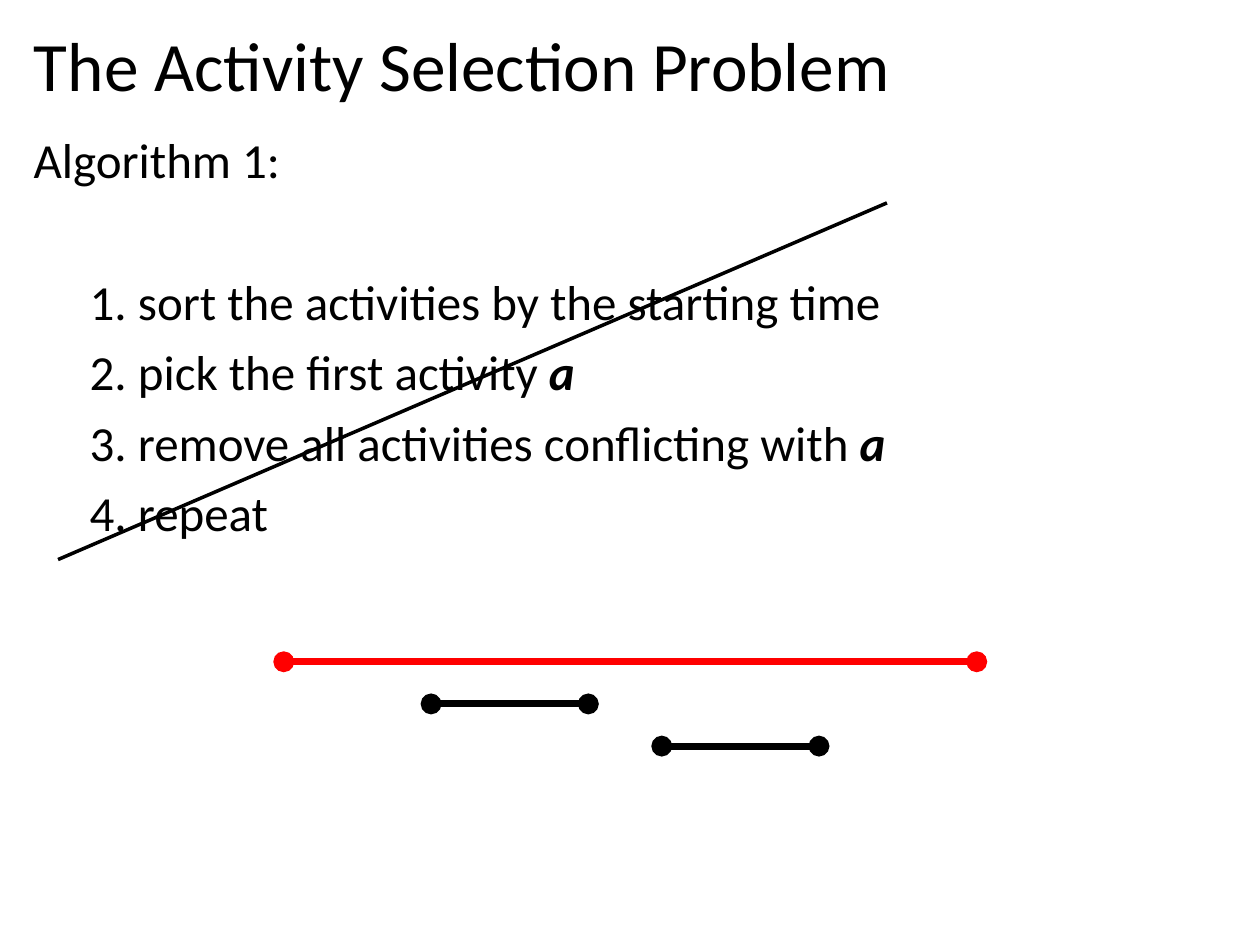
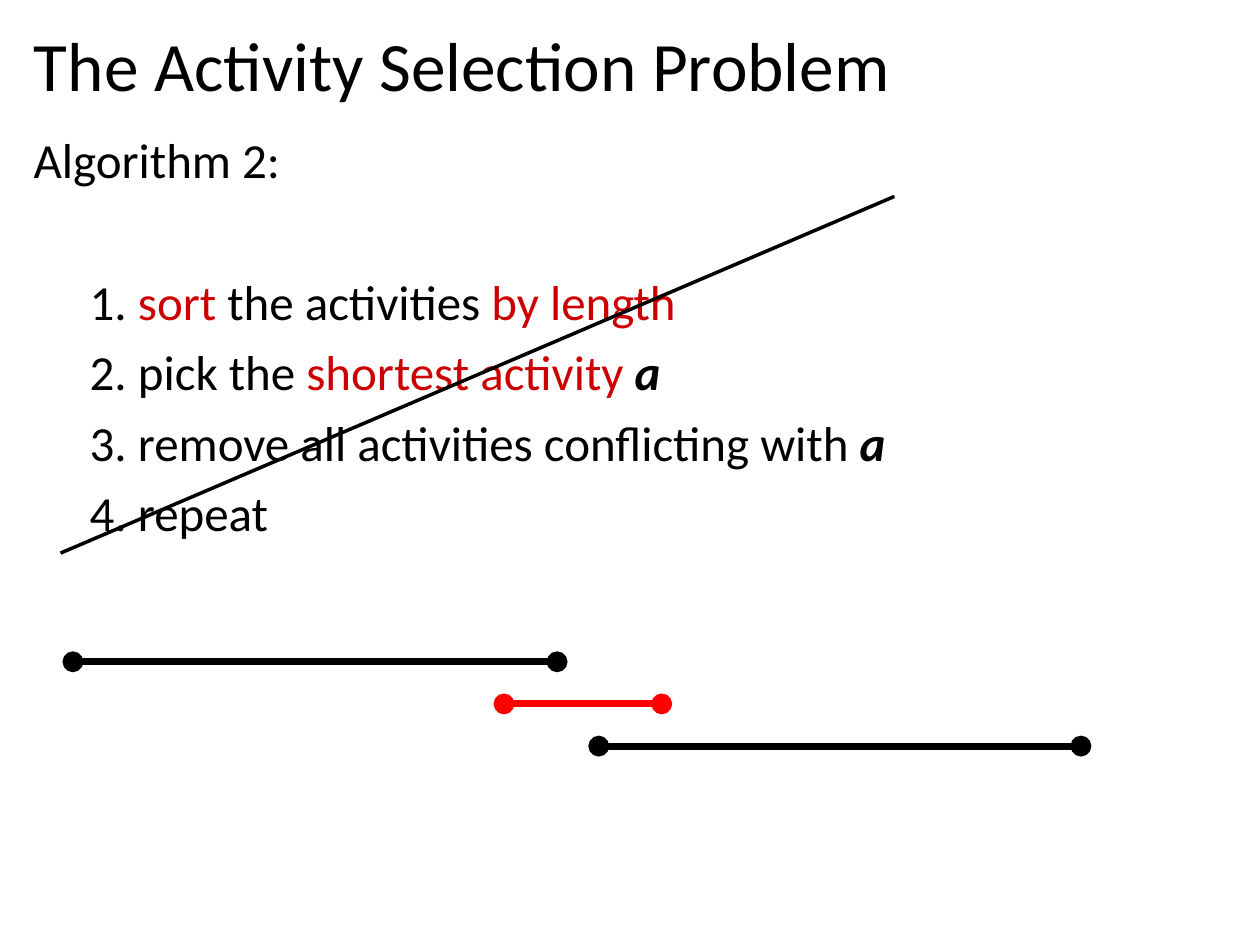
from dataclasses import dataclass

from lxml.etree import SubElement
from pptx import Presentation
from pptx.dml.color import RGBColor
from pptx.enum.shapes import MSO_CONNECTOR
from pptx.enum.text import MSO_ANCHOR, MSO_AUTO_SIZE, PP_ALIGN
from pptx.oxml.ns import qn
from pptx.util import Cm, Pt


@dataclass(frozen=True)
class Theme:
    font: str = "Calibri"
    black: RGBColor = RGBColor(0, 0, 0)
    picked: RGBColor = RGBColor(0xFF, 0, 0)
    emphasis: RGBColor = RGBColor(0xCC, 0, 0)
    title_size: float = 39.6
    body_size: float = 28
    line_spacing: float = 0.9
    space_before: float = 10
    list_gap: float = 50.75
    interval_width: float = 4
    strike_width: float = 2


theme = Theme()


def add_text(paragraph, text, size=theme.body_size, color=theme.black, bold=False, italic=False,
             space_before=theme.space_before, indent=0):
    paragraph.alignment = PP_ALIGN.LEFT
    paragraph.line_spacing = theme.line_spacing
    paragraph.space_before = Pt(space_before)
    paragraph._p.get_or_add_pPr().set("marL", str(Cm(indent)))
    run = paragraph.add_run()
    run.text = text
    run.font.name = theme.font
    run.font.size = Pt(size)
    run.font.color.rgb = color
    run.font.bold = bold
    run.font.italic = italic


def add_line(slide, start, end, color=theme.black, width=theme.strike_width, dots=False):
    connector = slide.shapes.add_connector(
        MSO_CONNECTOR.STRAIGHT, *[Cm(length) for length in (*start, *end)])
    connector.line.color.rgb = color
    connector.line.width = Pt(width)
    properties = connector._element.spPr
    if dots:
        for line_end in ("a:headEnd", "a:tailEnd"):
            SubElement(properties.find(qn("a:ln")), qn(line_end), type="oval")
    SubElement(properties, qn("a:effectLst"))


text_left, text_width = 0.43, 24.43
step_indent = 1.13
first_interval_top, interval_pitch = 13.34, 0.85

emphasis = {"color": theme.emphasis}
variable = {"bold": True, "italic": True}
closing_steps = [
    [("3. remove all activities conflicting with ", {}), ("a", variable)],
    [("4. repeat", {})],
]

algorithms = [
    {
        "heading": "Algorithm 1:",
        "steps": [
            [("1. sort the activities by the starting time", {})],
            [("2. pick the first activity ", {}), ("a", variable)],
        ],
        "intervals": [(5.72, 19.69), (8.69, 11.86), (13.34, 16.51)],
        "picked": 0,
        "strike": [(1.17, 11.28), (17.88, 4.09)],
    },
    {
        "heading": "Algorithm 2:",
        "steps": [
            [("1. ", {}), ("sort", emphasis), (" the activities ", {}), ("by length", emphasis)],
            [("2. pick the ", {}), ("shortest activity ", emphasis), ("a", variable)],
        ],
        "intervals": [(1.47, 11.23), (10.16, 13.34), (12.07, 21.79)],
        "picked": 1,
        "strike": [(1.22, 11.15), (18.03, 3.96)],
    },
]

presentation = Presentation()
presentation.slide_width = Cm(25.4)
presentation.slide_height = Cm(19.05)
title_only = presentation.slide_layouts[5]

for algorithm in algorithms:
    slide = presentation.slides.add_slide(title_only)

    title = slide.shapes.title
    title.left, title.top = Cm(text_left), Cm(0.46)
    title.width, title.height = Cm(text_width), Cm(1.88)
    title.text_frame.auto_size = MSO_AUTO_SIZE.NONE
    title.text_frame.vertical_anchor = MSO_ANCHOR.MIDDLE
    add_text(title.text_frame.paragraphs[0], "The Activity Selection Problem",
             size=theme.title_size, space_before=0)

    body = slide.shapes.add_textbox(Cm(text_left), Cm(2.62), Cm(text_width), Cm(14.55)).text_frame
    body.word_wrap = True
    add_text(body.paragraphs[0], algorithm["heading"])
    for number, step in enumerate(algorithm["steps"] + closing_steps):
        paragraph = body.add_paragraph()
        gap = theme.space_before if number else theme.list_gap
        for text, style in step:
            add_text(paragraph, text, indent=step_indent, space_before=gap, **style)

    for row, (start, finish) in enumerate(algorithm["intervals"]):
        top = first_interval_top + row * interval_pitch
        color = theme.picked if row == algorithm["picked"] else theme.black
        add_line(slide, (start, top), (finish, top), color=color,
                 width=theme.interval_width, dots=True)

    add_line(slide, *algorithm["strike"])

presentation.save("out.pptx")
